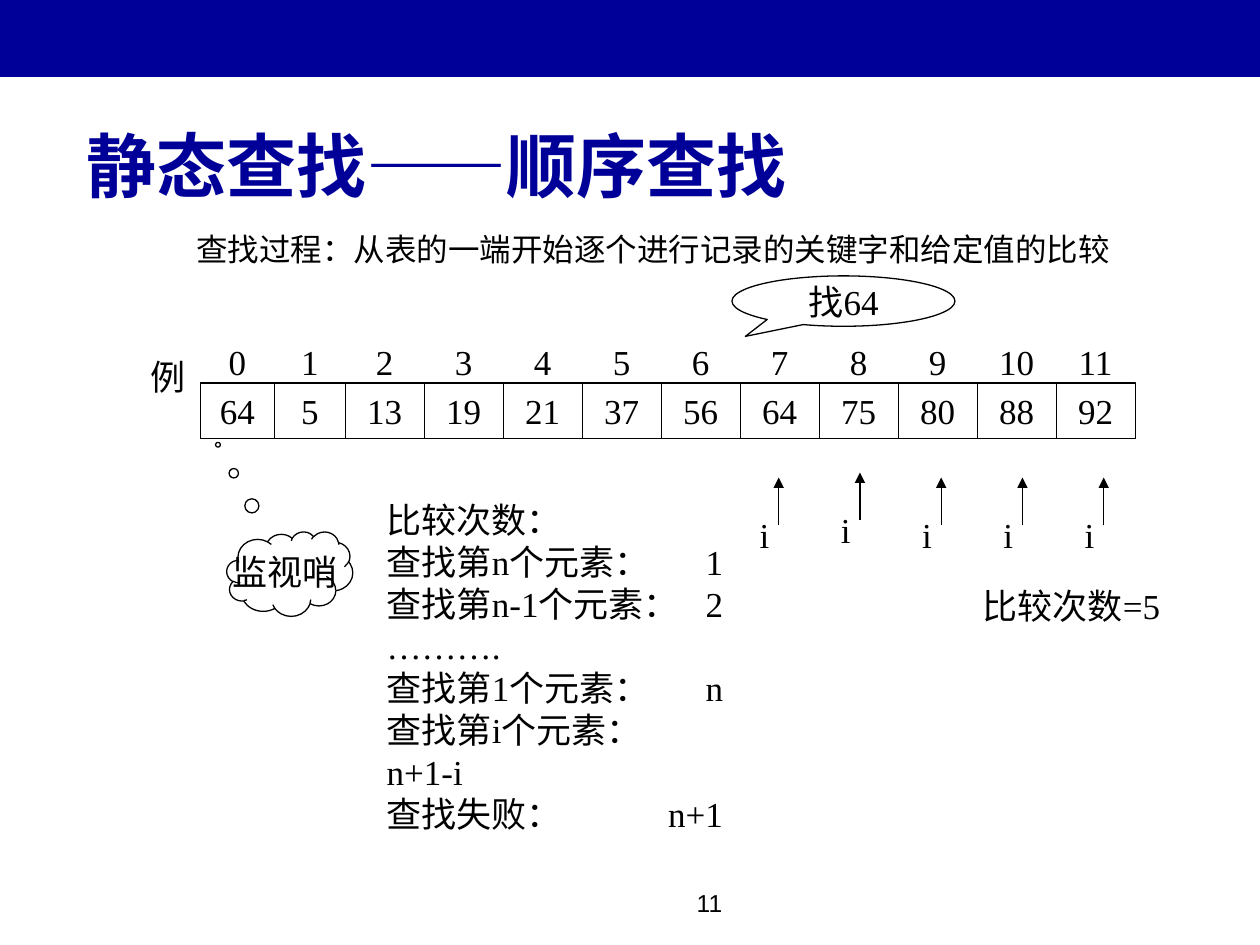
from dataclasses import dataclass

from lxml import etree
from pptx import Presentation
from pptx.dml.color import RGBColor
from pptx.enum.shapes import MSO_CONNECTOR, MSO_SHAPE
from pptx.enum.text import MSO_ANCHOR, PP_ALIGN
from pptx.oxml.ns import qn
from pptx.util import Inches, Pt

RECT, OVAL_CALLOUT, CLOUD = (MSO_SHAPE.RECTANGLE, MSO_SHAPE.OVAL_CALLOUT,
                             MSO_SHAPE.CLOUD_CALLOUT)
STRAIGHT = MSO_CONNECTOR.STRAIGHT
LEFT, CENTER, RIGHT = PP_ALIGN.LEFT, PP_ALIGN.CENTER, PP_ALIGN.RIGHT
TOP, MIDDLE, BOTTOM = MSO_ANCHOR.TOP, MSO_ANCHOR.MIDDLE, MSO_ANCHOR.BOTTOM

# The page is a grid of 100 columns by 75 rows
COLUMNS, ROWS = 100, 75
UNIT = Inches(0.1)
INSET = 1  # columns between the edge of a text box and its text


@dataclass(frozen=True)
class Theme:
    navy: RGBColor = RGBColor(0x00, 0x00, 0x99)
    ink: RGBColor = RGBColor(0x00, 0x00, 0x00)
    serif: str = "Times New Roman"
    sans: str = "Arial"
    chinese: str = "Noto Sans CJK SC"
    title: int = 40
    lead: int = 18
    body: int = 20
    number: int = 14
    line: float = 0.75


THEME = Theme()


def grid(*lengths):
    return [round(length * UNIT) for length in lengths]


def write(shape, text, align=LEFT, anchor=TOP, wrap=True, tabs=(), space=0,
          latin=THEME.serif, **font):
    """Fill a shape with paragraphs; tabs are (column, kind) pairs."""
    frame = shape.text_frame
    margins = dict(margin_left=0.1, margin_right=0.1, margin_top=0.05, margin_bottom=0.05)
    for name, value in margins.items():
        setattr(frame, name, Inches(value))
    frame.word_wrap, frame.vertical_anchor = wrap, anchor
    frame.text = text
    look = dict(name=latin, size=Pt(THEME.body), bold=False) | font
    color = look.pop("color", THEME.ink)
    for para in frame.paragraphs:
        para.alignment, para.space_before = align, Pt(space)
        if tabs:
            stops = etree.SubElement(para._p.get_or_add_pPr(), qn("a:tabLst"))
            for column, kind in tabs:
                etree.SubElement(stops, qn("a:tab"), pos=str(grid(column)[0]), algn=kind)
        for span in para.runs:
            for name, value in look.items():
                setattr(span.font, name, value)
            span.font.color.rgb = color
            east_asian = etree.SubElement(span._r.get_or_add_rPr(), qn("a:ea"))
            east_asian.set("typeface", THEME.chinese)


def add_text(page, box, text, **options):
    write(page.shapes.add_textbox(*grid(*box)), text, **options)


def add_outline(page, kind, box, text, adjustments=(), **options):
    shape = page.shapes.add_shape(kind, *grid(*box))
    shape.shadow.inherit = False
    shape.fill.background()
    shape.line.color.rgb = THEME.ink
    shape.line.width = Pt(THEME.line)
    for index, value in enumerate(adjustments):
        shape.adjustments[index] = value
    write(shape, text, anchor=MIDDLE, **options)


def add_line(page, start, end, arrow=False):
    line = page.shapes.add_connector(STRAIGHT, *grid(*start, *end))
    line.line.color.rgb = THEME.ink
    line.line.width = Pt(THEME.line)
    if arrow:
        etree.SubElement(line.line._get_or_add_ln(), qn("a:tailEnd"), type="triangle")
    etree.SubElement(line._element.spPr, qn("a:effectLst"))


def header(page, box):
    left, top, width, height = box
    # Band across the top
    band = page.shapes.add_shape(RECT, *grid(left, top, width, 6.1))
    band.shadow.inherit = False
    band.fill.solid()
    band.fill.fore_color.rgb = THEME.navy
    band.line.fill.background()
    # Title and lead sentence
    title = page.shapes.title
    title.left, title.top, title.width, title.height = grid(5.9, 4.4, 85, height - 4.4)
    write(title, "静态查找——顺序查找", anchor=BOTTOM, latin=THEME.chinese,
          size=Pt(THEME.title), bold=True, color=THEME.navy)
    add_text(page, (14.6, 17.8, 79.1, 10.4),
             "查找过程：从表的一端开始逐个进行记录的关键字和给定值的比较",
             space=4.5, latin=THEME.chinese, size=Pt(THEME.lead))


def search_table(page, box):
    left, top, width, height = box
    keys = [64, 5, 13, 19, 21, 37, 56, 64, 75, 80, 88, 92]
    # Two narrow cells, then ten equal ones
    first_equal = 11.5
    pitch = (width - first_equal) / (len(keys) - 2)
    edges = [0, 5.9] + [first_equal + pitch * step for step in range(len(keys) - 1)]
    tabs = [((start + end) / 2 - INSET, "ctr") for start, end in zip(edges, edges[1:])]

    def tabbed(items):
        return "".join(f"\t{item}" for item in items)

    add_text(page, (left - 4.9, top - 2.7, 5.4, 4.4), "例", wrap=False)
    add_text(page, (left, top - 3.9, width, 4.4), tabbed(range(len(keys))), tabs=tabs)
    add_outline(page, RECT, box, tabbed(keys), tabs=tabs)
    for edge in edges[1:-1]:
        add_line(page, (left + edge, top), (left + edge, top + height))
    # Sought key and sentinel
    add_outline(page, OVAL_CALLOUT, (left + 42.2, top - 8.5, 17.7, 4), "找64",
                (-0.44, 0.7), align=CENTER, wrap=False)
    add_outline(page, CLOUD, (left + 2.1, top + 11.8, 10, 6.7), "监视哨",
                (-0.57, -1.53), align=CENTER, wrap=False)


def pointers(page, box):
    left, top, width, height = box
    count, raised = 5, 1
    pitch = width / (count - 1)
    for index in range(count):
        column = left + index * pitch
        row = top - (0.4 if index == raised else 0)
        add_line(page, (column, row + height), (column, row), arrow=True)
        add_text(page, (column - 2.5, row + 2.4, 2.7, 4.4), "i", wrap=False)
    add_text(page, (left + 15.2, top + 8, 16.7, 4.4), "比较次数=5", wrap=False)


def comparison_counts(page, box):
    lines = ["比较次数：", "查找第n个元素：\t1", "查找第n-1个元素：\t2", "……….",
             "查找第1个元素：\tn", "查找第i个元素：\vn+1-i", "查找失败：\tn+1"]
    add_text(page, box, "\n".join(lines), tabs=[(26.7, "r")])


def main():
    deck = Presentation()
    deck.slide_width, deck.slide_height = grid(COLUMNS, ROWS)
    page = deck.slides.add_slide(deck.slide_layouts.get_by_name("Title Only"))
    header(page, (0, 0, COLUMNS, 16.9))
    search_table(page, (15.9, 30.4, 74.2, 4.4))
    pointers(page, (61.8, 37.9, 25.8, 3.8))
    comparison_counts(page, (29.7, 39.1, 31.9, 27.7))
    # Page number
    add_text(page, (37.5, 70, 20.8, 5), "11", align=RIGHT, latin=THEME.sans,
             size=Pt(THEME.number))
    deck.save("out.pptx")


if __name__ == "__main__":
    main()
